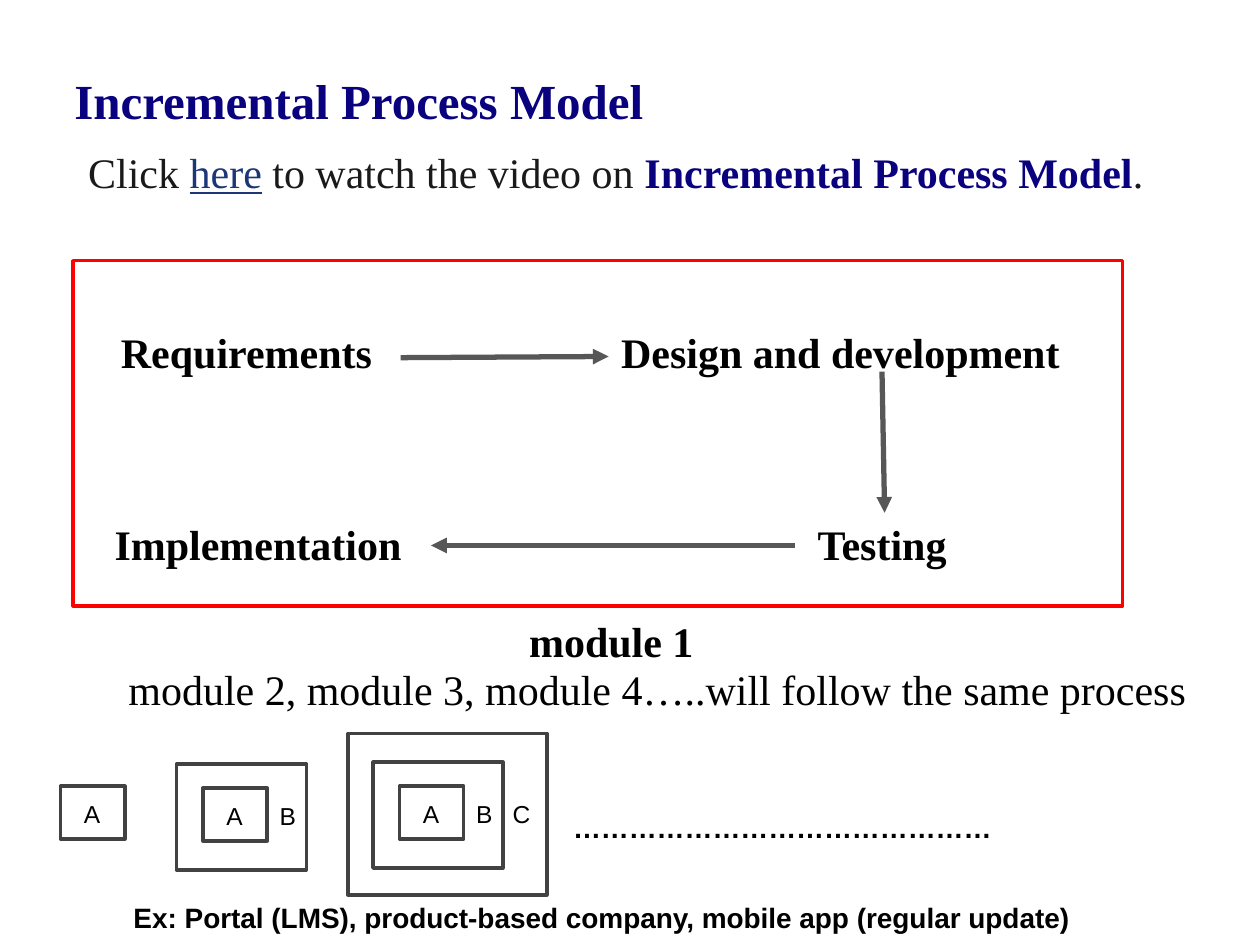
from dataclasses import dataclass

from lxml import etree
from pptx import Presentation
from pptx.dml.color import RGBColor
from pptx.enum import shapes, text
from pptx.oxml import ns
from pptx.util import Pt


@dataclass(frozen=True)
class Theme:
    serif: str = "Times New Roman"
    sans: str = "Arial"
    title_size: float = 28
    body_size: float = 24
    note_size: float = 16
    label_size: float = 14
    navy: str = "0A017F"
    link: str = "1C3678"
    body: str = "1A1A1A"
    black: str = "000000"
    arrow: str = "575757"
    frame: str = "FF0000"
    box: str = "424242"


THEME = Theme()


def add_run(paragraph, words, font, size, color=THEME.black, bold=False, underline=False):
    run = paragraph.add_run()
    run.text = words
    run.font.name = font
    run.font.size = Pt(size)
    run.font.bold = bold
    run.font.underline = underline
    run.font.color.rgb = RGBColor.from_string(color)


def add_text_area(slide, left, top, width, height, line_spacing):
    """Add a wrapping box without margins and return its first paragraph."""
    frame = slide.shapes.add_textbox(Pt(left), Pt(top), Pt(width), Pt(height)).text_frame
    frame.word_wrap = True
    frame.margin_left = frame.margin_right = frame.margin_top = frame.margin_bottom = 0
    paragraph = frame.paragraphs[0]
    paragraph.line_spacing = line_spacing
    return paragraph


def add_label(slide, left, top, width, height, words, font, size, bold=False):
    """Add one line of text in a box that fits its words."""
    frame = slide.shapes.add_textbox(Pt(left), Pt(top), Pt(width), Pt(height)).text_frame
    frame.word_wrap = False
    frame.auto_size = text.MSO_AUTO_SIZE.SHAPE_TO_FIT_TEXT
    add_run(frame.paragraphs[0], words, font, size, bold=bold)


def add_outline(slide, left, top, width, height, color):
    rectangle = slide.shapes.add_shape(
        shapes.MSO_SHAPE.RECTANGLE, Pt(left), Pt(top), Pt(width), Pt(height))
    rectangle.shadow.inherit = False
    rectangle.fill.background()
    rectangle.line.color.rgb = RGBColor.from_string(color)
    rectangle.line.width = Pt(2)


def add_arrow(slide, start_x, start_y, end_x, end_y):
    arrow = slide.shapes.add_connector(
        shapes.MSO_CONNECTOR.STRAIGHT, Pt(start_x), Pt(start_y), Pt(end_x), Pt(end_y))
    arrow.line.color.rgb = RGBColor.from_string(THEME.arrow)
    arrow.line.width = Pt(3)
    etree.SubElement(arrow.line._get_or_add_ln(), ns.qn("a:tailEnd"), type="triangle")
    etree.SubElement(arrow._element.spPr, ns.qn("a:effectLst"))


def add_heading(slide, left, top, width):
    title = add_text_area(slide, left, top, width, 40, 0.9)
    add_run(title, "Incremental Process Model", THEME.serif, THEME.title_size, THEME.navy, bold=True)

    intro = add_text_area(slide, left + 7.9, top + 41.8, width - 7.9, 40, 0.95)
    intro.space_before = Pt(4.8)
    for words, color, bold, underline in (
        ("Click ", THEME.body, False, False),
        ("here", THEME.link, False, True),
        (" to watch the video on ", THEME.body, False, False),
        ("Incremental Process Model", THEME.navy, True, False),
        (".", THEME.body, False, False),
    ):
        add_run(intro, words, THEME.serif, THEME.body_size, color, bold, underline)


def add_process(slide, left, top, width, height):
    """Draw the framed cycle of four phases and the module captions below it."""
    add_outline(slide, left, top, width, height, THEME.frame)
    for x, y, label_width, words, bold in (
        (20.2, 33.8, 166.3, "Requirements", True),
        (306, 33.8, 267.8, "Design and development", True),
        (418.3, 144, 91.4, "Testing", True),
        (16.6, 144, 180, "Implementation", True),
        (253.4, 199.4, 109.4, "module 1", True),
        (24.5, 226.8, 624.2, "module 2, module 3, module 4…..will follow the same process", False),
    ):
        add_label(slide, left + x, top + y, label_width, 36, words,
                  THEME.serif, THEME.body_size, bold)
    for start_x, start_y, end_x, end_y in (
        (187.2, 55.4, 306, 54.7),
        (462.2, 63.4, 463.7, 144),
        (412.6, 162.7, 204.5, 162.7),
    ):
        add_arrow(slide, left + start_x, top + start_y, left + end_x, top + end_y)


def add_increment(slide, left, top, depth):
    """Nest the first `depth` parts; left and top are those of the innermost box."""
    parts = (
        ("A", 0, 0, 36.7, 30.2, 6.3),
        ("B", -15.1, -13.7, 74.2, 60.5, 36.7),
        ("C", -29.5, -30.2, 113.8, 92.2, 57.6),
    )
    for name, x, y, width, height, label_x in parts[:depth]:
        add_outline(slide, left + x, top + y, width, height, THEME.box)
        add_label(slide, left + label_x, top + 3.8, 24, 24.2, name,
                  THEME.sans, THEME.label_size)


def add_increments(slide, left, top):
    for depth, (x, y) in enumerate(((0, 0), (81.4, 1), (193.7, 0)), start=1):
        add_increment(slide, left + x, top + y, depth)
    for x, y, width, words in (
        (285.8, 10.1, 257, "…" * 15),
        (34.6, 61.9, 558, "Ex: Portal (LMS), product-based company, mobile app (regular update)"),
    ):
        add_label(slide, left + x, top + y, width, 26.6, words,
                  THEME.sans, THEME.note_size, bold=True)


def main():
    presentation = Presentation()
    presentation.slide_width = Pt(720)
    presentation.slide_height = Pt(540)
    slide = presentation.slides.add_slide(presentation.slide_layouts[6])
    add_heading(slide, 42.5, 43.9, 636)
    add_process(slide, 41.8, 149, 599.8, 197.3)
    add_increments(slide, 34.6, 449.3)
    presentation.save("out.pptx")


if __name__ == "__main__":
    main()
